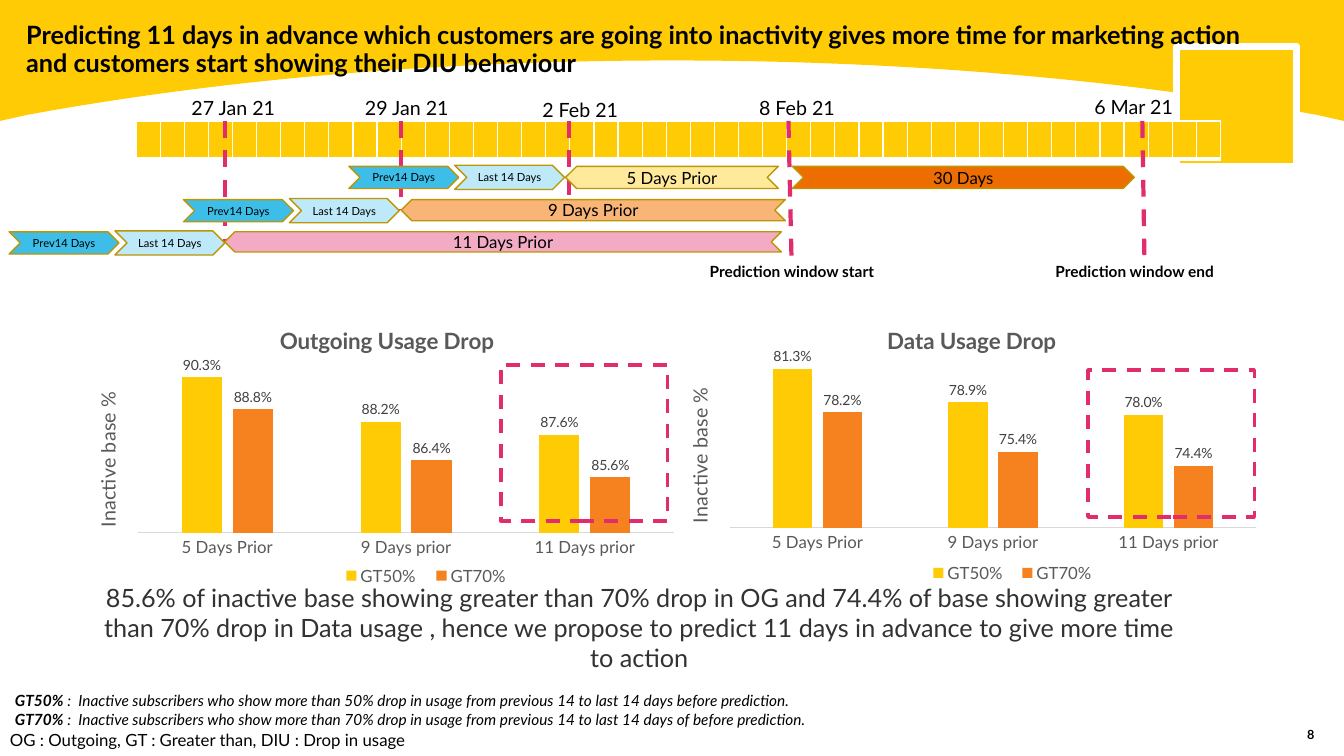
from dataclasses import dataclass

from lxml import etree
from pptx import Presentation
from pptx.chart.data import CategoryChartData
from pptx.dml.color import RGBColor
from pptx.enum.chart import XL_CHART_TYPE, XL_LABEL_POSITION, XL_LEGEND_POSITION, XL_TICK_MARK
from pptx.enum.dml import MSO_LINE
from pptx.enum.shapes import MSO_CONNECTOR, MSO_SHAPE
from pptx.enum.text import MSO_ANCHOR, PP_ALIGN
from pptx.oxml import parse_xml
from pptx.oxml.ns import nsdecls, qn
from pptx.util import Inches, Pt

COLUMNS = XL_CHART_TYPE.COLUMN_CLUSTERED
OUTSIDE_END = XL_LABEL_POSITION.OUTSIDE_END
LEGEND_BOTTOM = XL_LEGEND_POSITION.BOTTOM
NO_TICK = XL_TICK_MARK.NONE
DASH = MSO_LINE.DASH
STRAIGHT = MSO_CONNECTOR.STRAIGHT
RECTANGLE, CHEVRON = MSO_SHAPE.RECTANGLE, MSO_SHAPE.CHEVRON
MIDDLE, TOP = MSO_ANCHOR.MIDDLE, MSO_ANCHOR.TOP
LEFT, CENTER = PP_ALIGN.LEFT, PP_ALIGN.CENTER


@dataclass(frozen=True)
class Theme:
    font: str = "Lato"
    yellow: str = "FFCB05"
    orange: str = "F5821E"
    pink: str = "E12D6E"
    white: str = "FFFFFF"
    black: str = "000000"
    summary: str = "323232"
    chart_text: str = "595959"
    label_text: str = "404040"
    axis_line: str = "D9D9D9"
    arrow_line: str = "BD9604"
    previous: str = "3DBEE9"
    last: str = "BEE9F8"
    five_days: str = "FFEA9B"
    nine_days: str = "F9B478"
    eleven_days: str = "F3ABC5"
    thirty_days: str = "ED6D00"
    heading: int = 18
    chart_title: int = 16
    date: int = 14
    body: int = 12
    note: int = 11
    data_label: int = 10
    page: int = 9
    small: int = 8


THEME = Theme()


def rgb(value):
    return RGBColor.from_string(value)


def style_font(font, size, color=THEME.black, bold=False, italic=None):
    font.name, font.size, font.bold, font.italic = THEME.font, Pt(size), bold, italic
    font.color.rgb = rgb(color)


def add_text(slide, box, lines, size, color=THEME.black, bold=False, align=LEFT,
             anchor=TOP, inset=(0.1, 0.05), spacing=None):
    frame = slide.shapes.add_textbox(*map(Inches, box)).text_frame
    frame.word_wrap, frame.vertical_anchor = True, anchor
    frame.margin_left = frame.margin_right = Inches(inset[0])
    frame.margin_top = frame.margin_bottom = Inches(inset[1])
    frame.text = "\n".join(lines)
    for paragraph in frame.paragraphs:
        paragraph.alignment, paragraph.line_spacing = align, spacing
        style_font(paragraph.font, size, color, bold)


def add_preset(slide, kind, box, fill=None, line=None, width=1):
    shape = slide.shapes.add_shape(kind, *map(Inches, box))
    shape.shadow.inherit = False
    if fill:
        shape.fill.solid()
        shape.fill.fore_color.rgb = rgb(fill)
    else:
        shape.fill.background()
    if line:
        shape.line.color.rgb = rgb(line)
        shape.line.width = Pt(width)
    else:
        shape.line.fill.background()
    return shape


def add_marker(slide, x, top, end_x, bottom):
    marker = slide.shapes.add_connector(STRAIGHT, *map(Inches, (x, top, end_x, bottom)))
    marker.line.color.rgb = rgb(THEME.pink)
    marker.line.width, marker.line.dash_style = Pt(3), DASH
    etree.SubElement(marker.element.spPr, qn("a:effectLst"))


def add_arrow(slide, box, text, fill, size=THEME.body, flipped=False):
    arrow = add_preset(slide, CHEVRON, box, fill, THEME.arrow_line)
    if flipped:
        arrow.element.spPr.find(qn("a:xfrm")).set("flipH", "1")
    frame = arrow.text_frame
    frame.word_wrap, frame.vertical_anchor = False, MIDDLE
    frame.margin_left = frame.margin_right = frame.margin_top = frame.margin_bottom = 0
    frame.text = text
    frame.paragraphs[0].alignment = CENTER
    style_font(frame.paragraphs[0].font, size)


def add_header(slide, left, top, width, height):
    # Yellow band with an arched lower edge, sampled from a cubic curve
    middle, edge, crown = width / 2, 0.27, height / 2
    controls = [(edge, 1.14), (2.17, 0.79), (4.35, crown), (middle, crown)]
    steps = 24
    half = []
    for step in range(steps + 1):
        t = step / steps
        weights = ((1 - t) ** 3, 3 * t * (1 - t) ** 2, 3 * t * t * (1 - t), t ** 3)
        half.append(tuple(sum(w * point[axis] for w, point in zip(weights, controls))
                          for axis in (0, 1)))
    arch = half + [(width - x, y) for x, y in reversed(half[:-1])]
    outline = [(0, height), *arch, (width, height), (width, 0)]
    builder = slide.shapes.build_freeform(Inches(left), Inches(top))
    builder.add_line_segments([(Inches(left + x), Inches(top + y)) for x, y in outline])
    band = builder.convert_to_shape()
    band.shadow.inherit = False
    band.fill.solid()
    band.fill.fore_color.rgb = rgb(THEME.yellow)
    band.line.fill.background()

    # Plain badge and heading
    add_preset(slide, RECTANGLE, (left + 11.67, top + 0.46, 1.19, 1.19),
               THEME.yellow, THEME.white, 5)
    add_text(slide, (left + 0.26, top + 0.23, 12.9, 0.55),
             ["Predicting 11 days in advance which customers are going into inactivity "
              "gives more time for marketing action",
              "and customers start showing their DIU behaviour"],
             THEME.heading, bold=True, inset=(0, 0), spacing=0.9)


def add_day_strip(slide, box, days):
    frame = slide.shapes.add_table(1, days, *map(Inches, box))
    strip = frame.table
    strip.first_row = strip.horz_banding = False
    for column, cell in zip(strip.columns, strip.rows[0].cells):
        column.width = Inches(box[2] / days)
        cell.margin_left = cell.margin_right = cell.margin_top = cell.margin_bottom = 0
        properties = cell._tc.get_or_add_tcPr()
        for side, points in (("L", 1), ("R", 1), ("T", 1), ("B", 3)):
            properties.append(parse_xml(
                f'<a:ln{side} {nsdecls("a")} w="{Pt(points)}"><a:solidFill>'
                f'<a:srgbClr val="{THEME.white}"/></a:solidFill></a:ln{side}>'))
        cell.fill.solid()
        cell.fill.fore_color.rgb = rgb(THEME.yellow)


def add_timeline(slide, left, top, width, height):
    add_day_strip(slide, (left, top, width, height), 45)

    # Dates: text, label centre, label top, marker start, marker end
    for date, centre, label_top, start, end, bottom in (
            ("27 Jan 21", 2.31, 0.9, 2.23, 2.23, 2.4),
            ("29 Jan 21", 4.03, 0.9, 3.98, 3.98, 2.08),
            ("2 Feb 21", 5.75, 0.92, 5.64, 5.64, 1.93),
            ("8 Feb 21", 7.9, 0.9, 7.82, 7.85, 2.55),
            ("6 Mar 21", 11.24, 0.89, 11.33, 11.35, 2.53)):
        add_marker(slide, start, top, end, bottom)
        add_text(slide, (centre - 1.13, label_top, 2.27, 0.39), [date],
                 THEME.date, align=CENTER)
    for caption, x in (("start", 6.72), ("end", 10.12)):
        add_text(slide, (x, top + 1.35, 2.27, 0.39), [f"Prediction window {caption}"],
                 THEME.note, bold=True, align=CENTER)

    # Prediction window and the three lead times, each after two 14-day spans
    add_arrow(slide, (7.86, top + 0.45, 3.39, 0.22), "30 Days", THEME.thirty_days)
    for days, x, y, length, thickness, fill, span_x in (
            (5, 5.61, 1.65, 2.11, 0.22, THEME.five_days, 3.46),
            (9, 3.98, 1.98, 3.81, 0.21, THEME.nine_days, 1.82),
            (11, 2.23, 2.3, 5.52, 0.2, THEME.eleven_days, 0.09)):
        add_arrow(slide, (x, y, length, thickness), f"{days} Days Prior", fill, flipped=True)
        add_arrow(slide, (span_x, y, 1.09, 0.22), "Prev14 Days", THEME.previous, THEME.small)
        add_arrow(slide, (span_x + 1.05, y - 0.01, 1.09, 0.24), "Last 14 Days",
                  THEME.last, THEME.small)


def set_layout(element, target="", **fractions):
    for old in element.findall(qn("c:layout")):
        element.remove(old)
    inner = f'<c:layoutTarget val="{target}"/>' if target else ""
    modes = "".join(f'<c:{key}Mode val="edge"/>' for key in "xy")
    sizes = "".join(f'<c:{key} val="{value}"/>' for key, value in fractions.items())
    layout = parse_xml(f'<c:layout {nsdecls("c")}><c:manualLayout>{inner}{modes}{sizes}'
                       '</c:manualLayout></c:layout>')
    overlay = element.find(qn("c:overlay"))
    element.insert(0 if overlay is None else element.index(overlay), layout)


def add_drop_chart(slide, box, title, title_x, plot_y, scale, gt50, gt70, highlight):
    data = CategoryChartData(number_format="0.0%")
    data.categories = ["5 Days Prior", "9 Days prior", "11 Days prior"]
    data.add_series("GT50%", gt50)
    data.add_series("GT70%", gt70)
    chart = slide.shapes.add_chart(COLUMNS, *map(Inches, box), data).chart
    style_font(chart.font, THEME.data_label)

    # Titles, legend and plot area
    chart.has_title = chart.has_legend = True
    values, days = chart.value_axis, chart.category_axis
    for heading, text, size, bold in ((chart.chart_title, title, THEME.chart_title, True),
                                      (values.axis_title, "Inactive base %", THEME.date, False)):
        heading.text_frame.text = text
        style_font(heading.text_frame.paragraphs[0].font, size, THEME.chart_text, bold)
    chart.legend.position, chart.legend.include_in_layout = LEGEND_BOTTOM, False
    style_font(chart.legend.font, THEME.body, THEME.chart_text)
    set_layout(chart.chart_title._element, x=title_x, y=0.06)
    set_layout(chart.legend._element, x=0.42, y=0.88, w=0.31, h=0.09)
    set_layout(chart._chartSpace.chart.plotArea, "inner", x=0.105, y=plot_y, w=0.875, h=0.58)

    # Axes and columns
    values.minimum_scale, values.maximum_scale = scale
    values.has_major_gridlines = values.visible = False
    days.major_tick_mark = NO_TICK
    days.format.line.color.rgb = rgb(THEME.axis_line)
    days.format.line.width = Pt(0.75)
    style_font(days.tick_labels.font, THEME.body, THEME.chart_text)
    plot = chart.plots[0]
    plot.gap_width, plot.overlap, plot.vary_by_categories = 219, -27, False
    for series, color in zip(plot.series, (THEME.yellow, THEME.orange)):
        series.format.fill.solid()
        series.format.fill.fore_color.rgb = rgb(color)
        labels = series.data_labels
        labels.show_value, labels.position = True, OUTSIDE_END
        labels.number_format, labels.number_format_is_linked = "0.0%", False
        style_font(labels.font, THEME.data_label, THEME.label_text)

    # Dashed frame around the 11-day columns
    x, y, width, height = highlight
    frame = add_preset(slide, RECTANGLE, (box[0] + x, box[1] + y, width, height),
                       line=THEME.pink, width=2.5)
    frame.line.dash_style = DASH


def add_footer(slide, left, top, width, height):
    add_text(slide, (left + 0.82, top, 11.04, 0.65),
             ["85.6% of inactive base showing greater than 70% drop in OG and 74.4% of base "
              "showing greater than 70% drop in Data usage , hence we propose to predict "
              "11 days in advance to give more time to action"],
             THEME.heading, THEME.summary, align=CENTER, anchor=MIDDLE)

    # Definitions with bold terms
    notes = slide.shapes.add_textbox(*map(Inches, (left + 0.05, top + 0.91, 12.02, 0.47)))
    notes.text_frame.word_wrap = True
    for index, (percent, ending) in enumerate(((50, "before"), (70, "of before"))):
        frame = notes.text_frame
        paragraph = frame.add_paragraph() if index else frame.paragraphs[0]
        style_font(paragraph.font, THEME.note, bold=None, italic=True)
        term = paragraph.add_run()
        term.text, term.font.bold = f"GT{percent}%", True
        paragraph.add_run().text = (
            f" :  Inactive subscribers who show more than {percent}% drop in usage from "
            f"previous 14 to last 14 days {ending} prediction.")
    add_text(slide, (left, top + 1.29, 6.24, 0.3),
             ["OG : Outgoing, GT : Greater than, DIU : Drop in usage"], THEME.body)
    add_text(slide, (left + width - 0.67, top + height - 0.35, 0.68, 0.27), ["8"],
             THEME.page, bold=True, align=CENTER, anchor=MIDDLE, inset=(0, 0))


def main():
    deck = Presentation()
    deck.slide_width, deck.slide_height = Inches(13.33), Inches(7.5)
    slide = deck.slides.add_slide(deck.slide_layouts[6])
    add_header(slide, 0, 0, 13.33, 1.2)
    add_timeline(slide, 1.35, 1.2, 10.77, 0.38)
    add_drop_chart(slide, (0.73, 3.01, 6.08, 2.92), "Outgoing Usage Drop", 0.33, 0.2,
                   (0.83, 0.91), (0.903, 0.882, 0.876), (0.888, 0.864, 0.856),
                   (4.24, 0.61, 1.65, 1.55))
    add_drop_chart(slide, (6.61, 3.01, 5.97, 2.89), "Data Usage Drop", 0.36, 0.19,
                   (0.7, 0.82), (0.813, 0.789, 0.78), (0.782, 0.754, 0.744),
                   (4.18, 0.66, 1.65, 1.46))
    add_footer(slide, 0, 5.9, 13.33, 1.6)
    deck.save("out.pptx")


if __name__ == "__main__":
    main()
